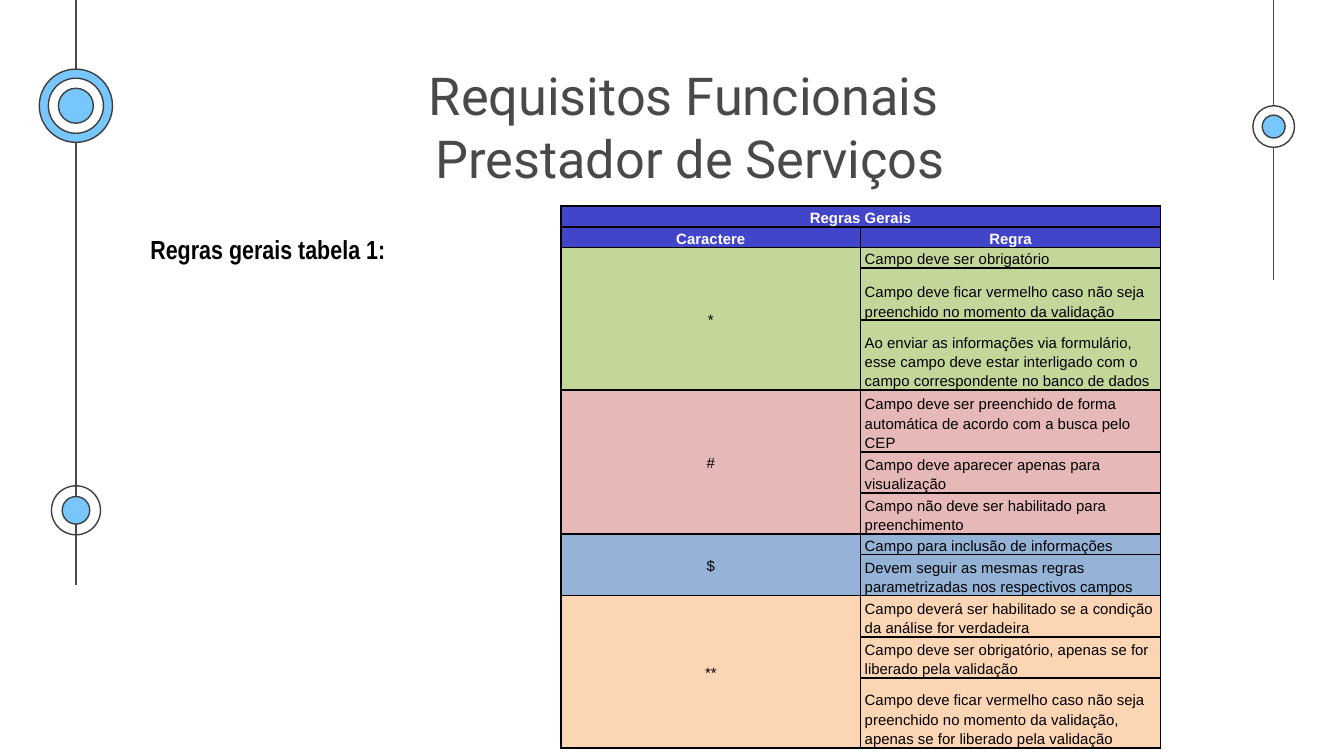
from lxml.etree import SubElement
from pptx import Presentation
from pptx.dml.color import RGBColor
from pptx.enum.shapes import MSO_CONNECTOR, MSO_SHAPE
from pptx.enum.text import MSO_ANCHOR, PP_ALIGN
from pptx.oxml.ns import qn
from pptx.util import Inches, Pt

CELL = 0.1  # one grid step: 100 columns by 56.25 rows
DARK, SKY, WHITE, BLACK, INDIGO = "494949", "77C6FC", "FFFFFF", "000000", "4245CA"
OUTLINE = "3D3D3D"

RULES = [
    ("*", "C4D79B", [
        ("Campo deve ser obrigatório", 1.4),
        ("Campo deve ficar vermelho caso não seja preenchido no momento da validação", 3.9),
        ("Ao enviar as informações via formulário, esse campo deve estar interligado "
         "com o campo correspondente no banco de dados", 5.2)]),
    ("#", "E6B8B7", [
        ("Campo deve ser preenchido de forma automática de acordo com a busca pelo CEP", 4.3),
        ("Campo deve aparecer apenas para visualização", 2.9),
        ("Campo não deve ser habilitado para preenchimento", 2.9)]),
    ("$", "95B3D7", [
        ("Campo para inclusão de informações", 1.4),
        ("Devem seguir as mesmas regras parametrizadas nos respectivos campos", 2.9)]),
    ("**", "FCD5B4", [
        ("Campo deverá ser habilitado se a condição da análise for verdadeira", 2.9),
        ("Campo deve ser obrigatório, apenas se for liberado pela validação", 2.9),
        ("Campo deve ficar vermelho caso não seja preenchido no momento da validação, "
         "apenas se for liberado pela validação", 5.2)]),
]


def color(value):
    return RGBColor.from_string(value)


def grid(steps):
    return Inches(steps * CELL)


class SlideBuilder:
    def __init__(self, slide):
        self.slide = slide

    def rail(self, column, bottom):
        line = self.slide.shapes.add_connector(
            MSO_CONNECTOR.STRAIGHT, grid(column), 0, grid(column), grid(bottom))
        line.line.color.rgb = color(DARK)
        line.line.width = Pt(0.75)
        SubElement(line._element.spPr, qn("a:effectLst"))

    def rings(self, column, row, discs):
        """Draw concentric discs, outermost first, as (diameter, fill or None)."""
        for size, fill in discs:
            disc = self.slide.shapes.add_shape(
                MSO_SHAPE.OVAL, grid(column - size / 2), grid(row - size / 2),
                grid(size), grid(size))
            disc.shadow.inherit = False
            if fill:
                disc.fill.solid()
                disc.fill.fore_color.rgb = color(fill)
            else:
                disc.fill.background()
            disc.line.color.rgb = color(OUTLINE)
            disc.line.width = Pt(0.75)

    def style(self, paragraph, font, size, ink, bold, align):
        paragraph.alignment = align
        for run in paragraph.runs:
            run.font.name = font
            run.font.size = Pt(size)
            run.font.bold = bold
            run.font.color.rgb = color(ink)

    def text(self, box, words, font, size, ink, bold, align, inset=0.5):
        frame = self.slide.shapes.add_textbox(*map(grid, box)).text_frame
        frame.word_wrap = True
        frame.margin_top = frame.margin_bottom = grid(inset)
        frame.text = words
        self.style(frame.paragraphs[0], font, size, ink, bold, align)

    def cell(self, cell, words, fill, ink=BLACK, bold=False,
             align=PP_ALIGN.CENTER, anchor=MSO_ANCHOR.BOTTOM):
        cell.margin_left = cell.margin_right = grid(0.3)
        cell.margin_top = cell.margin_bottom = 0
        cell.vertical_anchor = anchor
        properties = cell._tc.get_or_add_tcPr()
        for side in ("a:lnL", "a:lnR", "a:lnT", "a:lnB"):
            border = SubElement(properties, qn(side), w=str(Pt(1)))
            SubElement(SubElement(border, qn("a:solidFill")), qn("a:srgbClr"), val=BLACK)
        cell.fill.solid()
        cell.fill.fore_color.rgb = color(fill)
        cell.text_frame.text = words
        paragraph = cell.text_frame.paragraphs[0]
        paragraph.line_spacing = 1.15
        self.style(paragraph, "Arial", 8, ink, bold, align)

    def rules_table(self, left, top, width, groups):
        heights = [1.4, 1.4] + [height for *_, rules in groups for _, height in rules]
        table = self.slide.shapes.add_table(
            len(heights), 2, grid(left), grid(top), grid(width), grid(sum(heights))).table
        for row, height in zip(table.rows, heights):
            row.height = grid(height)
        for column in table.columns:
            column.width = grid(width / 2)

        headings = [("Regras Gerais", ""), ("Caractere", "Regra")]
        for row, names in enumerate(headings):
            for column, name in enumerate(names):
                self.cell(table.cell(row, column), name, INDIGO, WHITE, True)
        table.cell(0, 0).merge(table.cell(0, 1))

        first = len(headings)
        for symbol, fill, rules in groups:
            for offset, (rule, _) in enumerate(rules):
                self.cell(table.cell(first + offset, 0), "" if offset else symbol,
                          fill, anchor=MSO_ANCHOR.MIDDLE)
                self.cell(table.cell(first + offset, 1), rule, fill, align=PP_ALIGN.LEFT)
            last = first + len(rules) - 1
            table.cell(first, 0).merge(table.cell(last, 0))
            first = last + 1


def main():
    presentation = Presentation()
    presentation.slide_width, presentation.slide_height = grid(100), grid(56.25)
    builder = SlideBuilder(presentation.slides.add_slide(presentation.slide_layouts[6]))

    left_rail, right_rail = 5.65, 94.77
    builder.rail(left_rail, 43.5)
    builder.rail(right_rail, 20.8)
    builder.rings(left_rail, 37.97, [(3.65, None), (2.05, SKY)])
    builder.rings(right_rail, 9.42, [(3.1, WHITE), (1.7, SKY)])
    builder.rings(left_rail, 7.87, [(5.45, SKY), (4.1, WHITE), (2.6, SKY)])

    builder.text((30.55, 3.7, 41.6, 6.3), "Requisitos Funcionais \vPrestador de Serviços",
                 "Roboto", 28, DARK, False, PP_ALIGN.CENTER, inset=1)
    builder.text((10.2, 16.85, 34.1, 3.4), "Regras gerais tabela 1:",
                 "Arial Narrow", 14, BLACK, True, PP_ALIGN.JUSTIFY)
    builder.rules_table(41.74, 15.34, 44.6, RULES)

    presentation.save("out.pptx")


if __name__ == "__main__":
    main()
